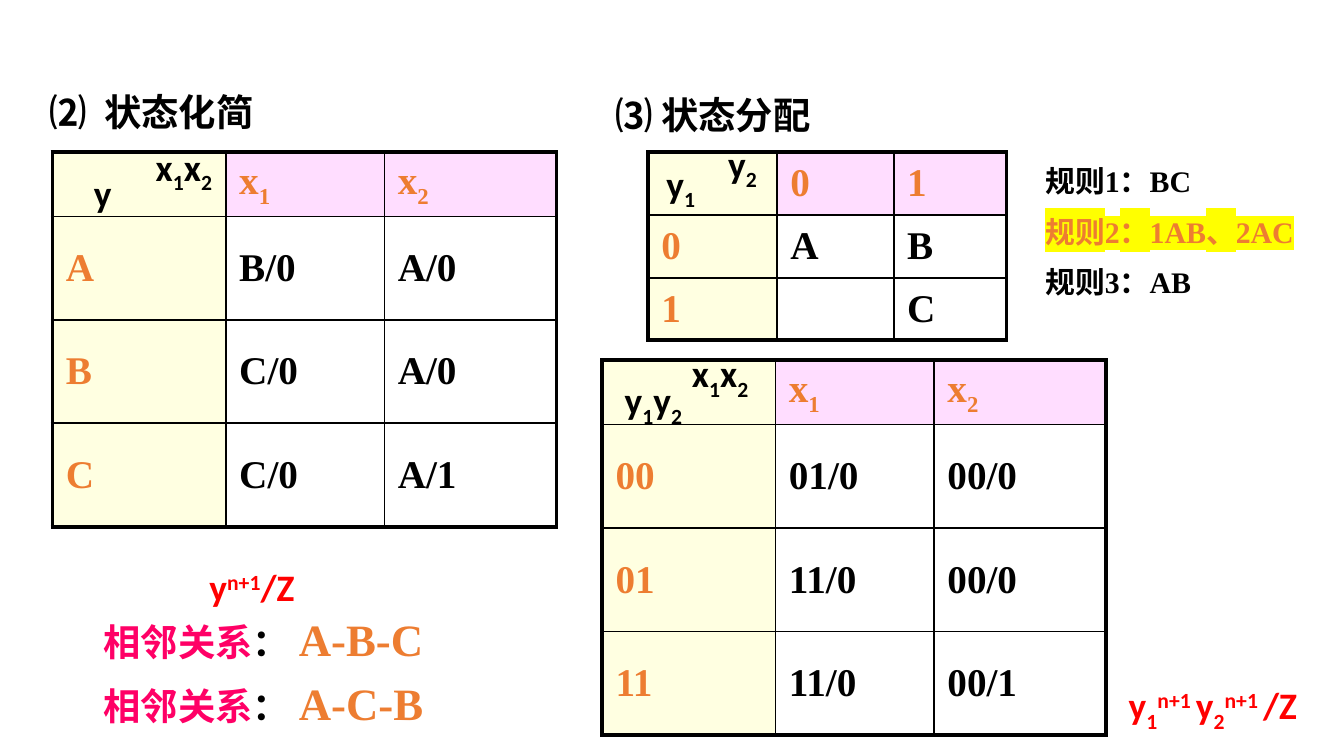
from lxml.etree import SubElement
from pptx import Presentation
from pptx.dml.color import RGBColor
from pptx.enum.text import MSO_ANCHOR, MSO_AUTO_SIZE, PP_ALIGN
from pptx.oxml.ns import qn
from pptx.util import Inches, Pt

BLACK, ORANGE, RED, ROSE = "000000", "ED7D31", "FF0000", "FF0066"
CREAM, PINK, WHITE, YELLOW = "FFFFE1", "FFDDFF", "FFFFFF", "FFFF00"
SERIF, SANS, CJK = "Times New Roman", "Calibri", "Noto Sans CJK JP"
SHIFTS = {"_": "-25000", "^": "30000"}
LEFT, MID, TOP = 0.39, 4.48, 1.13


def color(value):
    return RGBColor.from_string(value)


def style(para, size, face, ink=None):
    font = para.font
    font.size, font.name, font.bold = Pt(size), face, True
    if ink:
        font.color.rgb = color(ink)
    SubElement(para._p.pPr.find(qn("a:defRPr")), qn("a:ea"), typeface=CJK)


def fill_text(para, text):
    """Add runs parted by |; a leading _ lowers a run and ^ raises it."""
    for part in text.split("|"):
        run = para.add_run()
        run.text = part.lstrip("_^")
        if part[0] in SHIFTS:
            run.font._element.set("baseline", SHIFTS[part[0]])


def add_box(slide, left, top, width, height=0.44):
    box = slide.shapes.add_textbox(*map(Inches, (left, top, width, height)))
    frame = box.text_frame
    frame.word_wrap = True
    frame.auto_size = MSO_AUTO_SIZE.SHAPE_TO_FIT_TEXT
    return frame


def add_label(slide, text, left, top, width, ink=BLACK, face=SANS):
    para = add_box(slide, left, top, width).paragraphs[0]
    fill_text(para, text)
    style(para, 20, face, ink)


def add_title(slide, text):
    title = slide.shapes.title
    title.left, title.top, title.width, title.height = map(
        Inches, (0.27, 0.63, 2.83, 0.44))
    frame = title.text_frame
    frame.auto_size = MSO_AUTO_SIZE.NONE
    frame.vertical_anchor = MSO_ANCHOR.MIDDLE
    para = frame.paragraphs[0]
    para.alignment = PP_ALIGN.LEFT
    para.line_spacing = 0.9
    fill_text(para, text)
    style(para, 20, CJK, BLACK)


def set_edges(cell, edges):
    """Draw thick lines on the outer edges and thin lines elsewhere."""
    props = cell._tc.get_or_add_tcPr()
    for spot, (side, outer) in enumerate(edges.items()):
        line = props.makeelement(
            qn(f"a:ln{side}"), {"w": str(Pt(2.25 if outer else 1))})
        paint = SubElement(line, qn("a:solidFill"))
        SubElement(paint, qn("a:srgbClr"), val=BLACK)
        props.insert(spot, line)


def add_grid(slide, left, top, cols, rows, data):
    table = slide.shapes.add_table(
        len(rows), len(cols),
        *map(Inches, (left, top, sum(cols), sum(rows)))).table
    table.first_row = table.horz_banding = False
    for col, width in zip(table.columns, cols):
        col.width = Inches(width)
    for row, height in zip(table.rows, rows):
        row.height = Inches(height)
    for r, texts in enumerate(data):
        for c, text in enumerate(texts):
            cell = table.cell(r, c)
            cell.fill.solid()
            cell.fill.fore_color.rgb = color(
                CREAM if c == 0 else PINK if r == 0 else WHITE)
            set_edges(cell, {"L": c == 0, "R": c == len(cols) - 1,
                             "T": r == 0, "B": r == len(rows) - 1})
            cell.vertical_anchor = MSO_ANCHOR.MIDDLE
            cell.margin_top = cell.margin_bottom = Inches(0.04)
            if text:
                para = cell.text_frame.paragraphs[0]
                fill_text(para, text)
                style(para, 21, SERIF, BLACK if r and c else ORANGE)


def add_order(slide, order, top):
    para = add_box(slide, 0.67, top, 2.68, 0.5).paragraphs[0]
    for text, ink, size in (("相邻关系", ROSE, 20), ("： ", BLACK, 20),
                            (order, ORANGE, 24)):
        run = para.add_run()
        run.text = text
        run.font.color.rgb = color(ink)
        run.font.size = Pt(size)
    style(para, 20, SERIF)


def add_rules(slide, rules):
    frame = add_box(slide, 7.68, 1.16, 2.25, 1.18)
    for i, (text, ink, mark) in enumerate(rules):
        para = frame.add_paragraph() if i else frame.paragraphs[0]
        if i:
            para.space_before = Pt(8)
        fill_text(para, text)
        style(para, 16, SERIF, ink)
        if mark:
            props = para.runs[0].font._element
            SubElement(SubElement(props, qn("a:highlight")),
                       qn("a:srgbClr"), val=mark)


def main():
    deck = Presentation()
    deck.slide_width = Inches(10)
    deck.slide_height = deck.slide_width * 9 // 16
    slide = deck.slides.add_slide(deck.slide_layouts[5])
    wide, tall = (1.29, 1.18, 1.28), (0.48, 0.77, 0.77, 0.77)
    head = ("", "x|_1", "x|_2")

    add_title(slide, "⑵  状态化简")
    add_grid(slide, LEFT, TOP, wide, tall, (
        head, ("A", "B/0", "A/0"), ("B", "C/0", "A/0"), ("C", "C/0", "A/1")))
    add_label(slide, "x|_1|x|_2", 1.06, 1.02, 1.17)
    add_label(slide, "y", 0.6, 1.22, 0.58)
    add_label(slide, "⑶ 状态分配", MID, 0.64, 4.08, face=CJK)
    add_grid(slide, 4.82, TOP, (0.96, 0.87, 0.84), (0.47, 0.47, 0.46), (
        ("", "0", "1"), ("0", "A", "B"), ("1", "", "C")))
    add_label(slide, "y|_2", 5.32, 1, 0.67)
    add_label(slide, "y|_1", 4.86, 1.15, 0.67)

    add_grid(slide, MID, 2.68, wide, tall, (
        head, ("00", "01/0", "00/0"), ("01", "11/0", "00/0"),
        ("11", "11/0", "00/1")))
    add_label(slide, "x|_1|x|_2", 5.05, 2.56, 1.17)
    add_label(slide, "y|^n+1|/Z", 1.46, 4.15, 1.17, RED)
    add_label(slide, "y|_1|y|_2", 4.55, 2.76, 1.17)
    add_label(slide, "y|_1|^n+1 |y|_2|^n+1 |/Z", 8.3, 5.03, 1.92, RED)
    for order, top in (("A-B-C", 4.5), ("A-C-B", 4.98)):
        add_order(slide, order, top)
    add_rules(slide, (("规则1：BC", BLACK, None),
                      ("规则2：1AB、2AC", ORANGE, YELLOW),
                      ("规则3：AB", BLACK, None)))
    deck.save("out.pptx")


if __name__ == "__main__":
    main()
